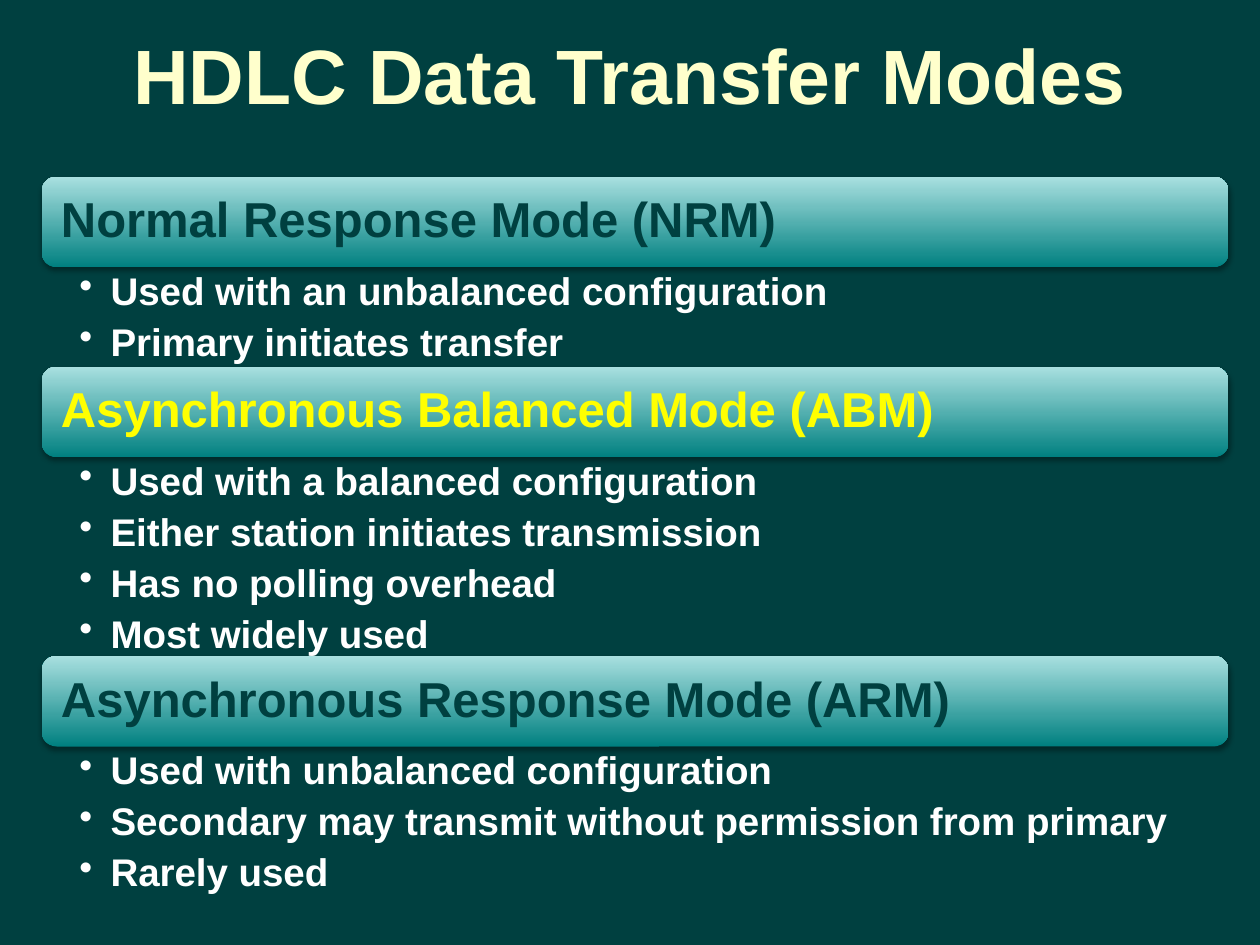
from lxml import etree
from pptx import Presentation
from pptx.dml.color import RGBColor
from pptx.enum.shapes import MSO_SHAPE
from pptx.enum.text import MSO_ANCHOR, PP_ALIGN
from pptx.oxml.ns import qn
from pptx.util import Cm, Pt

ROUNDED = MSO_SHAPE.ROUNDED_RECTANGLE
MIDDLE, TOP = MSO_ANCHOR.MIDDLE, MSO_ANCHOR.TOP
CENTER, LEFT = PP_ALIGN.CENTER, PP_ALIGN.LEFT

DARK, TEAL, PALE = "004040", "008080", "A9E0E0"
CREAM, YELLOW, WHITE = "FFFFCC", "FFFF00", "FFFFFF"

# Measures in centimetres
BAR_LEFT, BAR_WIDTH, BAR_HEIGHT = 0.84, 23.93, 1.83
FIRST_TOP, BULLET_HEIGHT, LABEL_INSET = 3.56, 1.0, 0.09

MODES = [
    ("Normal Response Mode (NRM)", DARK, [
        "Used with an unbalanced configuration",
        "Primary initiates transfer"]),
    ("Asynchronous Balanced Mode (ABM)", YELLOW, [
        "Used with a balanced configuration",
        "Either station initiates transmission",
        "Has no polling overhead",
        "Most widely used"]),
    ("Asynchronous Response Mode (ARM)", DARK, [
        "Used with unbalanced configuration",
        "Secondary may transmit without permission from primary",
        "Rarely used"]),
]


def color(value):
    return RGBColor.from_string(value)


def place(shape, left, top, width, height):
    shape.left, shape.top = Cm(left), Cm(top)
    shape.width, shape.height = Cm(width), Cm(height)


def set_frame(frame, anchor, left, top, right, bottom):
    frame.word_wrap = True
    frame.vertical_anchor = anchor
    frame.margin_left, frame.margin_top = Cm(left), Cm(top)
    frame.margin_right, frame.margin_bottom = Cm(right), Cm(bottom)


def add_bullet(para):
    para.level = 1
    properties = para._p.get_or_add_pPr()
    properties.set("marL", str(Cm(0.63)))
    properties.set("indent", str(-Cm(0.63)))
    etree.SubElement(properties, qn("a:buChar"), char="•")


def write(para, text, size, fill, align=LEFT, spacing=None, after=None,
          bullet=False):
    if bullet:
        add_bullet(para)
    para.alignment = align
    if spacing is not None:
        para.line_spacing = spacing
    if after is not None:
        para.space_after = Pt(after)
    span = para.add_run()
    span.text = text
    span.font.name = "Arial"
    span.font.size = Pt(size)
    span.font.bold = True
    span.font.color.rgb = color(fill)


def add_shadow(shape):
    shape.shadow.inherit = False
    effects = shape._element.spPr.find(qn("a:effectLst"))
    shadow = etree.SubElement(
        effects, qn("a:outerShdw"), blurRad=str(Pt(3.1)), dist=str(Pt(1.8)),
        dir="5400000", rotWithShape="0")
    black = etree.SubElement(shadow, qn("a:srgbClr"), val="000000")
    etree.SubElement(black, qn("a:alpha"), val="35000")


def add_title(page, text):
    title = page.shapes.title
    place(title, 1.27, 0, 22.86, 2.97)
    title.text_frame.vertical_anchor = MIDDLE
    write(title.text_frame.paragraphs[0], text, 44, CREAM, align=CENTER)


def add_bar(page, top):
    bar = page.shapes.add_shape(ROUNDED, 0, 0, 0, 0)
    place(bar, BAR_LEFT, top, BAR_WIDTH, BAR_HEIGHT)
    bar.fill.gradient()
    bar.fill.gradient_angle = 90
    for stop, value in zip(bar.fill.gradient_stops, (TEAL, PALE)):
        stop.color.rgb = color(value)
    bar.line.fill.background()
    add_shadow(bar)


def add_label(page, top, text, fill):
    box = page.shapes.add_textbox(0, 0, 0, 0)
    place(box, BAR_LEFT + LABEL_INSET, top + LABEL_INSET,
          BAR_WIDTH - 2 * LABEL_INSET, BAR_HEIGHT - 2 * LABEL_INSET)
    set_frame(box.text_frame, MIDDLE, 0.3, 0.3, 0.3, 0.3)
    write(box.text_frame.paragraphs[0], text, 28, fill, spacing=0.9)


def add_bullets(page, top, height, items):
    box = page.shapes.add_textbox(0, 0, 0, 0)
    place(box, BAR_LEFT, top, BAR_WIDTH, height)
    frame = box.text_frame
    set_frame(frame, TOP, 0.76, 0.1, 0.56, 0.1)
    for index, item in enumerate(items):
        para = frame.add_paragraph() if index else frame.paragraphs[0]
        write(para, item, 22, WHITE, spacing=0.9, after=5.4, bullet=True)


def main():
    deck = Presentation()
    deck.slide_width, deck.slide_height = Cm(25.4), Cm(19.05)
    page = deck.slides.add_slide(deck.slide_layouts[5])
    page.background.fill.solid()
    page.background.fill.fore_color.rgb = color(DARK)
    add_title(page, "HDLC Data Transfer Modes")

    # Each mode: a bar with its name, then its bullets below
    top = FIRST_TOP
    for name, fill, items in MODES:
        add_bar(page, top)
        add_label(page, top, name, fill)
        top += BAR_HEIGHT
        height = BULLET_HEIGHT * len(items)
        add_bullets(page, top, height, items)
        top += height

    deck.save("out.pptx")


if __name__ == "__main__":
    main()
